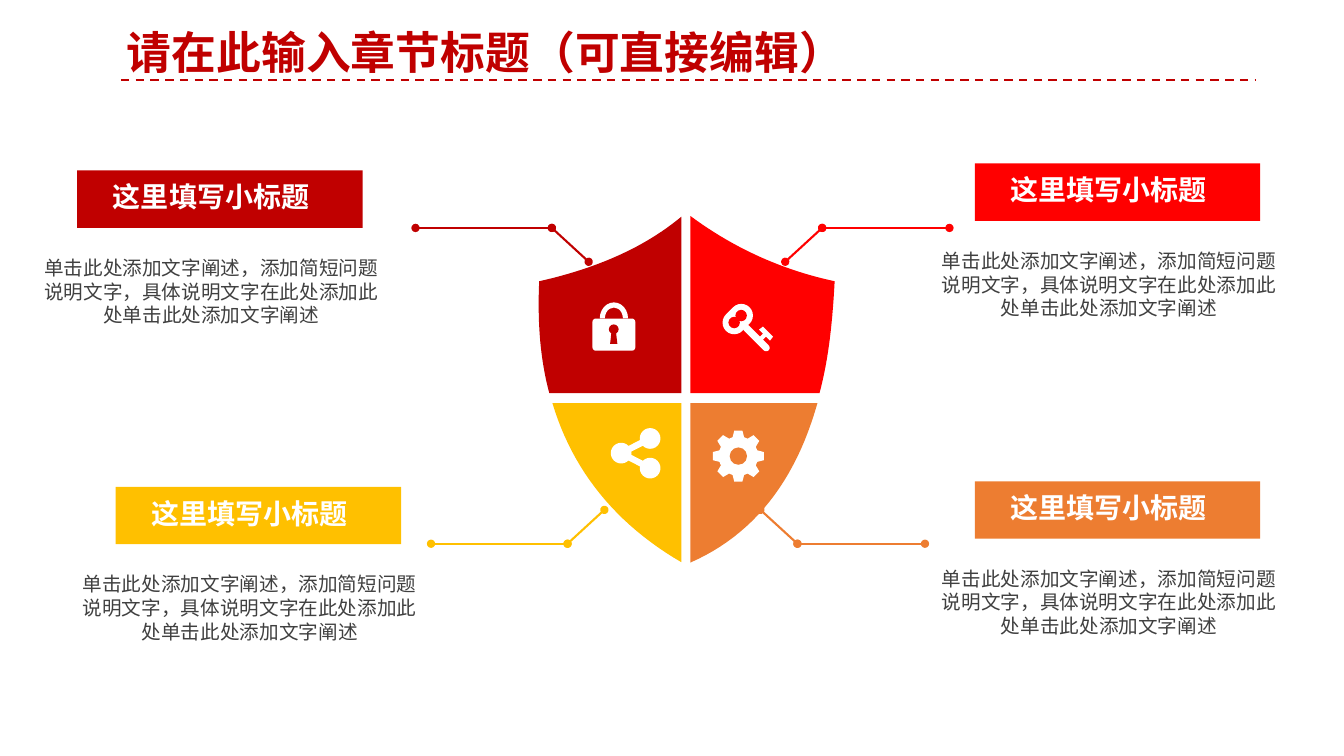
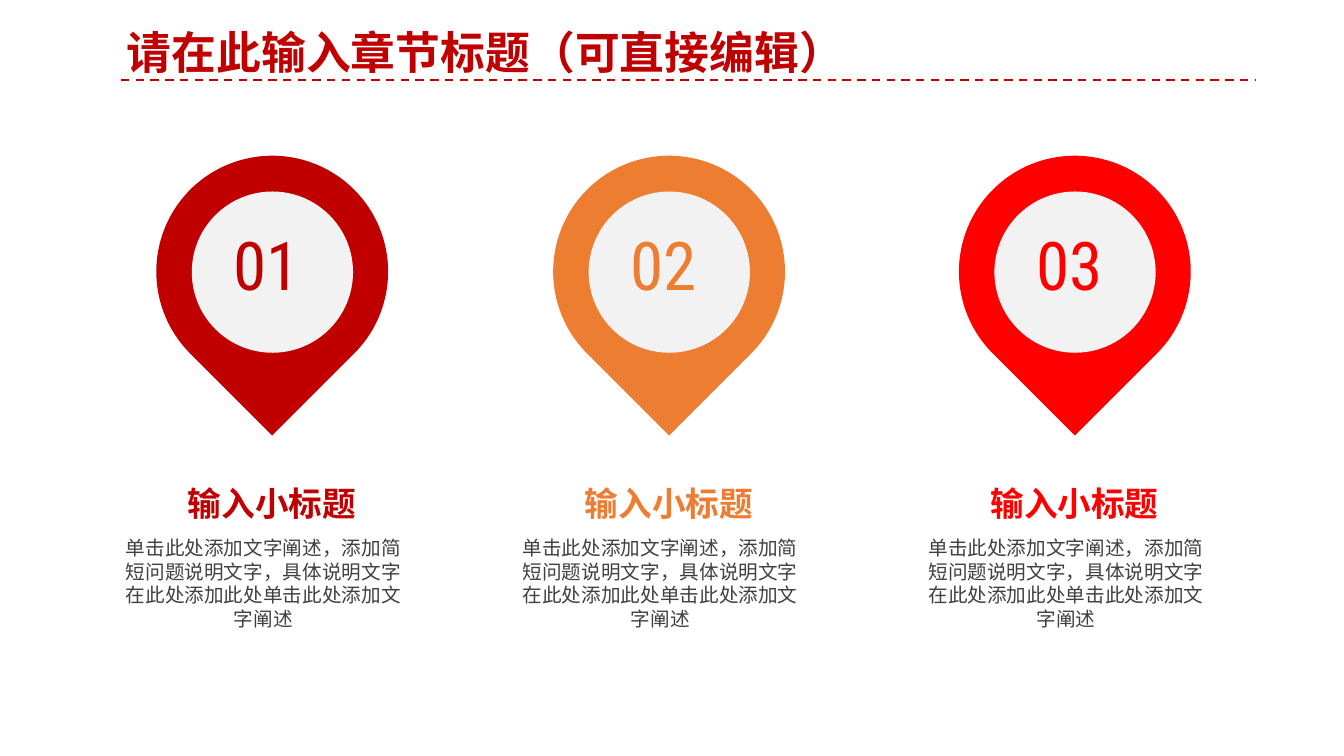
from math import cos, radians, sin

from lxml import etree
from pptx import Presentation
from pptx.dml.color import RGBColor
from pptx.enum.dml import MSO_LINE
from pptx.enum.shapes import MSO_CONNECTOR, MSO_SHAPE
from pptx.enum.text import MSO_ANCHOR, PP_ALIGN
from pptx.oxml.ns import qn
from pptx.util import Pt

DARK_RED = RGBColor(0xC0, 0x00, 0x00)
RED = RGBColor(0xFF, 0x00, 0x00)
ORANGE = RGBColor(0xED, 0x7D, 0x31)
YELLOW = RGBColor(0xFF, 0xC0, 0x00)
WHITE = RGBColor(0xFF, 0xFF, 0xFF)
PALE_GREY = RGBColor(0xF2, 0xF2, 0xF2)
TEXT_GREY = RGBColor(0x40, 0x40, 0x40)

HEADING_FONT = "Arial"
BODY_FONT = "Noto Sans CJK SC"
NUMBER_FONT = "Roboto Condensed"

STRAIGHT = MSO_CONNECTOR.STRAIGHT
DASH = MSO_LINE.DASH
RECTANGLE = MSO_SHAPE.RECTANGLE
ROUNDED = MSO_SHAPE.ROUNDED_RECTANGLE
ELLIPSE = MSO_SHAPE.OVAL
BLOCK_ARC = MSO_SHAPE.BLOCK_ARC
TEARDROP = MSO_SHAPE.TEAR
TOP, MIDDLE = MSO_ANCHOR.TOP, MSO_ANCHOR.MIDDLE
LEFT, CENTER = PP_ALIGN.LEFT, PP_ALIGN.CENTER

PAGE_TITLE = "请在此输入章节标题（可直接编辑）"
BANNER_TITLE = "这里填写小标题"
PIN_TITLE = "输入小标题"
DESCRIPTION = "单击此处添加文字阐述，添加简短问题说明文字，具体说明文字在此处添加此处单击此处添加文字阐述"


def curve(start, control_1, control_2, end, steps=24):
    """Points along a cubic Bezier curve, both ends included."""
    points = []
    for step in range(steps + 1):
        t = step / steps
        u = 1 - t
        weights = (u ** 3, 3 * u * u * t, 3 * u * t * t, t ** 3)
        corners = (start, control_1, control_2, end)
        points.append(tuple(sum(w * corner[axis] for w, corner in zip(weights, corners))
                            for axis in (0, 1)))
    return points


class Slides:
    def __init__(self):
        self.deck = Presentation()
        self.deck.slide_width, self.deck.slide_height = Pt(960), Pt(540)
        self.shapes = None

    def new_page(self):
        self.shapes = self.deck.slides.add_slide(self.deck.slide_layouts[6]).shapes
        self.line((86.4, 57), (897.1, 57), DARK_RED).line.dash_style = DASH
        self.text(PAGE_TITLE, 83.5, 14.4, 561, 46, 32, HEADING_FONT, DARK_RED,
                  bold=True, align=LEFT, inset=(7.2, 3.6))

    def line(self, start, end, color, width=1.5, dots=False):
        line = self.shapes.add_connector(STRAIGHT, *map(Pt, start + end))
        line.line.color.rgb = color
        line.line.width = Pt(width)
        properties = line.element.spPr
        if dots:
            outline = properties.find(qn("a:ln"))
            for end_name in ("a:headEnd", "a:tailEnd"):
                etree.SubElement(outline, qn(end_name), type="oval")
        etree.SubElement(properties, qn("a:effectLst"))
        return line

    def paint(self, shape, color):
        shape.shadow.inherit = False
        shape.fill.solid()
        shape.fill.fore_color.rgb = color
        shape.line.fill.background()
        return shape

    def shape(self, kind, left, top, width, height, color, rotation=0):
        shape = self.shapes.add_shape(kind, Pt(left), Pt(top), Pt(width), Pt(height))
        shape.rotation = rotation
        return self.paint(shape, color)

    def centered(self, kind, center, width, height, color, rotation=0):
        x, y = center
        return self.shape(kind, x - width / 2, y - height / 2, width, height, color, rotation)

    def disc(self, center, radius, color):
        return self.centered(ELLIPSE, center, 2 * radius, 2 * radius, color)

    def outline(self, points, color):
        corners = [(Pt(x), Pt(y)) for x, y in points]
        builder = self.shapes.build_freeform(*corners[0])
        builder.add_line_segments(corners[1:])
        return self.paint(builder.convert_to_shape(), color)

    def set_text(self, box, text, size, font, color, bold=False, align=CENTER,
                 inset=(12.2, 0), spacing=None, anchor=TOP):
        frame = box.text_frame
        frame.text = text
        frame.word_wrap = True
        frame.vertical_anchor = anchor
        frame.margin_left = frame.margin_right = Pt(inset[0])
        frame.margin_top = frame.margin_bottom = Pt(inset[1])
        para = frame.paragraphs[0]
        para.alignment = align
        if spacing:
            para.line_spacing = spacing
        span = para.runs[0].font
        span.name, span.size, span.bold = font, Pt(size), bold
        span.color.rgb = color

    def text(self, text, left, top, width, height, *style, **options):
        box = self.shapes.add_textbox(Pt(left), Pt(top), Pt(width), Pt(height))
        self.set_text(box, text, *style, **options)

    def description(self, left, top, width):
        self.text(DESCRIPTION, left, top, width, 59, 14, BODY_FONT, TEXT_GREY)

    def callout(self, left, top, leader, color):
        """Banner, description and a bent leader to the shield."""
        for start, end in zip(leader, leader[1:]):
            self.line(start, end, color, dots=True)
        banner = self.shape(RECTANGLE, left, top, 203.8, 41, color)
        self.set_text(banner, BANNER_TITLE, 20, HEADING_FONT, WHITE, bold=True,
                      align=LEFT, inset=(25.5, 0), spacing=Pt(20.5), anchor=MIDDLE)
        self.description(left - 39.6, top + 61, 270.7)

    def lock(self, hole_color):
        shackle = self.shape(BLOCK_ARC, 428.4, 216, 20.2, 23, WHITE)
        shackle.adjustments[2] = 0.18
        self.shape(ROUNDED, 423.2, 227.5, 30.6, 23, WHITE).adjustments[0] = 0.1
        self.disc((438.4, 235.2), 3.5, hole_color)
        self.outline([(436.8, 237), (440, 237), (441, 245.6), (435.8, 245.6)], hole_color)

    def key(self, hole_color):
        bow = self.centered(ROUNDED, (527, 227.9), 23.8, 16.6, WHITE, rotation=315)
        shaft = self.centered(ROUNDED, (540.2, 241.4), 25, 5, WHITE, rotation=45)
        for part in (bow, shaft):
            part.adjustments[0] = 0.5
        self.outline([(542, 241.4), (545, 238.3), (542.2, 235.4), (545, 233.3),
                      (552.2, 240.5), (550, 243.4), (547.2, 240.5), (544, 243.6)], WHITE)
        for center in ((524.4, 230.4), (529.4, 225.4)):
            self.disc(center, 4.1, hole_color)

    def gear(self, hole_color):
        center_x, center_y = 527.4, 325.8
        tooth = ((-17, 14.1), (-9, 18.5), (9, 18.5), (17, 14.1))
        points = []
        for middle in range(0, 360, 45):
            for offset, radius in tooth:
                angle = radians(middle + offset)
                points.append((center_x + radius * cos(angle), center_y + radius * sin(angle)))
        self.outline(points, WHITE)
        self.disc((center_x, center_y), 6.2, hole_color)

    def share(self):
        hub = (443.7, 323.7)
        self.disc(hub, 7.4, WHITE)
        for node in ((464.4, 313.2), (464.4, 334.4)):
            self.line(hub, node, WHITE, width=4.5)
            self.disc(node, 7.4, WHITE)

    def pin(self, left, number, color):
        """Numbered map pin with its title and description."""
        self.text(PIN_TITLE, left - 23.2, 339.1, 211.7, 30, 24, BODY_FONT, color,
                  bold=True, spacing=1.2)
        self.description(left - 35.4, 383, 223.9)
        self.shape(TEARDROP, left, 111.2, 165.6, 165.6, color, rotation=135)
        self.shape(ELLIPSE, left + 25.4, 136.8, 115.2, 115.2, PALE_GREY)
        self.text(number, left + 45, 156.2, 67.7, 65.5, 48, NUMBER_FONT, color,
                  inset=(7.2, 3.6))


def shield_page(slides):
    slides.new_page()
    inner_left, inner_right, upper_end, lower_start = 486.7, 493.2, 280.8, 288
    slides.outline(
        curve((385.2, 200.9), (427, 191.5), (460.8, 176.4), (inner_left, 154.8))
        + [(inner_left, upper_end)]
        + curve((392.4, upper_end), (385.9, 257), (383.8, 229.7), (385.2, 200.9)), DARK_RED)
    slides.outline(
        [(inner_right, upper_end)]
        + curve((inner_right, 154.3), (524.9, 177.8), (559.4, 193), (596.2, 200.9))
        + curve((596.2, 200.9), (594.7, 230.4), (591.8, 257), (585.4, upper_end)), RED)
    slides.outline(
        [(inner_right, lower_start)]
        + curve((583.9, lower_start), (568.1, 344.2), (537.8, 382.3), (inner_right, 401.8)),
        ORANGE)
    slides.outline(
        [(inner_left, lower_start)]
        + curve((inner_left, 401.6), (439.9, 374.4), (409, 336.2), (394.6, lower_start)),
        YELLOW)
    slides.lock(DARK_RED)
    slides.key(RED)
    slides.gear(ORANGE)
    slides.share()
    callouts = (
        (55.2, 121.8, ((420.5, 187), (394.2, 162.8), (296.8, 162.8)), DARK_RED),
        (696.4, 116.8, ((560.9, 187), (587.3, 162.8), (678.2, 162.8)), RED),
        (696.4, 343.8, ((543.2, 364.2), (569.6, 388.4), (660.7, 388.4)), ORANGE),
        (82.7, 347.8, ((431.7, 364.2), (405.4, 388.4), (307.9, 388.4)), YELLOW),
    )
    for left, top, leader, color in callouts:
        slides.callout(left, top, leader, color)


def pin_page(slides):
    slides.new_page()
    for left, number, color in ((111.6, "01", DARK_RED), (395.1, "02", ORANGE),
                                (684.9, "03", RED)):
        slides.pin(left, number, color)


def main():
    slides = Slides()
    shield_page(slides)
    pin_page(slides)
    slides.deck.save("out.pptx")


if __name__ == "__main__":
    main()
